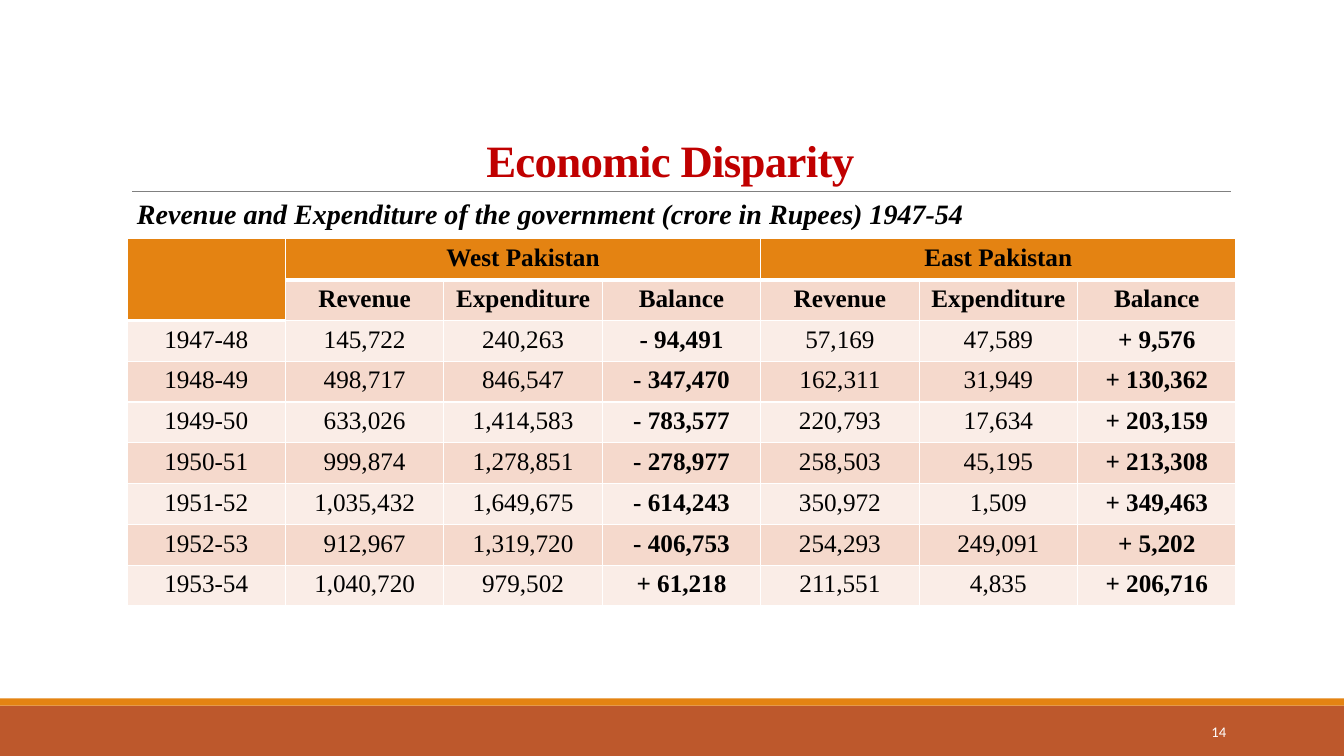
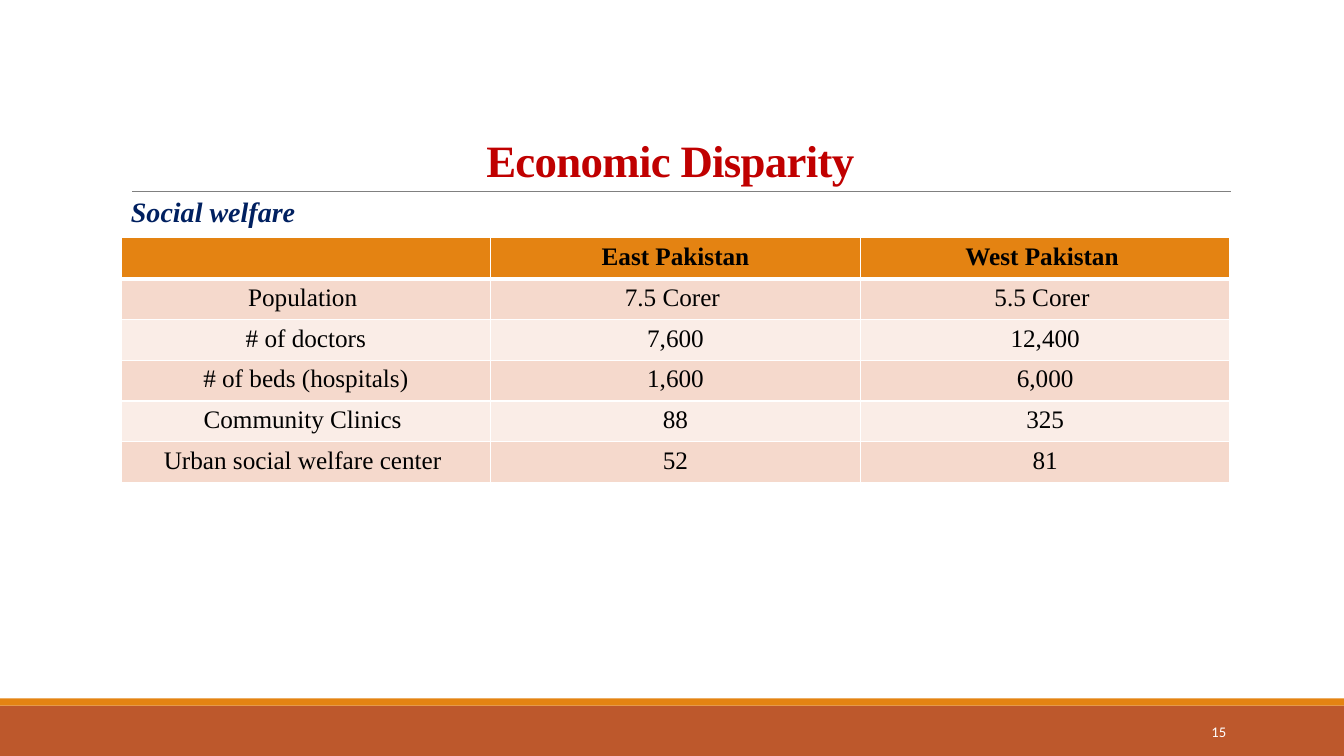
"""Build two slides of tables on economic disparity."""
import lxml.etree
import pptx
import pptx.dml.color
import pptx.enum.shapes
import pptx.enum.text
import pptx.oxml.ns
import pptx.util

Inches = pptx.util.Inches
Pt = pptx.util.Pt
ALIGN = pptx.enum.text.PP_ALIGN
ANCHOR = pptx.enum.text.MSO_ANCHOR
qn = pptx.oxml.ns.qn

COLORS = {
    "band": "BD582C", "accent": "E48312", "rule": "808080", "title": "C00000",
    "navy": "002060", "black": "000000", "white": "FFFFFF",
    "odd": "F5D9CC", "even": "FAEDE7",
}
SERIF = "Times New Roman"
SANS = "Calibri"
WIDTH, HEIGHT = 13.33, 7.5
ROW_HEIGHT = 0.405
TABLE_WIDTH = 11

MEASURES = ["Revenue", "Expenditure", "Balance"]
REVENUE_ROWS = [
    ["", "West Pakistan", "", "", "East Pakistan", "", ""],
    [""] + MEASURES * 2,
    ["1947-48", "145,722", "240,263", "- 94,491", "57,169", "47,589", "+ 9,576"],
    ["1948-49", "498,717", "846,547", "- 347,470", "162,311", "31,949", "+ 130,362"],
    ["1949-50", "633,026", "1,414,583", "- 783,577", "220,793", "17,634", "+ 203,159"],
    ["1950-51", "999,874", "1,278,851", "- 278,977", "258,503", "45,195", "+ 213,308"],
    ["1951-52", "1,035,432", "1,649,675", "- 614,243", "350,972", "1,509", "+ 349,463"],
    ["1952-53", "912,967", "1,319,720", "- 406,753", "254,293", "249,091", "+ 5,202"],
    ["1953-54", "1,040,720", "979,502", "+ 61,218", "211,551", "4,835", "+ 206,716"],
]
REVENUE_MERGES = [(0, 0, 1, 0), (0, 1, 0, 3), (0, 4, 0, 6)]
WELFARE_ROWS = [
    ["", "East Pakistan", "West Pakistan "],
    ["Population ", "7.5 Corer ", "5.5 Corer "],
    ["# of doctors", "7,600", "12,400"],
    ["# of beds (hospitals)", "1,600", "6,000"],
    ["Community Clinics ", "88", "325"],
    ["Urban social welfare center ", "52", "81"],
]


def rgb(name):
    return pptx.dml.color.RGBColor.from_string(COLORS[name])


class Deck:
    def __init__(self):
        self.prs = pptx.Presentation()
        self.prs.slide_width = Inches(WIDTH)
        self.prs.slide_height = Inches(HEIGHT)
        self.s = None

    def slide(self, title, number):
        self.s = self.prs.slides.add_slide(self.prs.slide_layouts[6])
        self.band(7, 0.5, "band")
        self.band(6.93, 0.07, "accent")
        self.rule(1.31, 12.21, 1.9)
        r = self.text(title, (1.2, 1, 11, 0.9), 32, "title", bold=True,
                      align=ALIGN.CENTER, anchor=ANCHOR.BOTTOM, spacing=0.85)
        r.font._element.set("spc", "-50")
        self.text(str(number), (10.83, 7.06, 1.43, 0.4), 10.5, "white", font=SANS,
                  align=ALIGN.RIGHT, anchor=ANCHOR.MIDDLE)

    def band(self, top, height, color):
        sp = self.s.shapes.add_shape(
            pptx.enum.shapes.MSO_SHAPE.RECTANGLE,
            0, Inches(top), Inches(WIDTH), Inches(height))
        sp.shadow.inherit = False
        sp.fill.solid()
        sp.fill.fore_color.rgb = rgb(color)
        sp.line.fill.background()

    def rule(self, left, right, y):
        line = self.s.shapes.add_connector(
            pptx.enum.shapes.MSO_CONNECTOR.STRAIGHT,
            Inches(left), Inches(y), Inches(right), Inches(y))
        line.line.color.rgb = rgb("rule")
        line.line.width = Pt(0.5)
        lxml.etree.SubElement(line._element.spPr, qn("a:effectLst"))

    def run(self, p, text, size, color, font=SERIF, bold=False, italic=False):
        r = p.add_run()
        r.text = text
        r.font.size = Pt(size)
        r.font.name = font
        r.font.bold = bold
        r.font.italic = italic
        r.font.color.rgb = rgb(color)
        return r

    def text(self, text, box, size, color, align=ALIGN.LEFT, anchor=ANCHOR.TOP,
             spacing=None, **style):
        sp = self.s.shapes.add_textbox(*map(Inches, box))
        tf = sp.text_frame
        tf.word_wrap = True
        tf.vertical_anchor = anchor
        p = tf.paragraphs[0]
        p.alignment = align
        p.line_spacing = spacing
        return self.run(p, text, size, color, **style)

    def subtitle(self, text, left, top, color):
        self.text(text, (left, top, 8.75, 0.44), 20, color, bold=True, italic=True)

    def borders(self, cell, row):
        tc_pr = cell._tc.get_or_add_tcPr()
        widths = {"L": 1, "R": 1, "T": 3 if row == 1 else 1, "B": 3 if row == 0 else 1}
        for side, width in widths.items():
            ln = lxml.etree.SubElement(tc_pr, qn("a:ln" + side), w=str(Pt(width)))
            fill = lxml.etree.SubElement(ln, qn("a:solidFill"))
            lxml.etree.SubElement(fill, qn("a:srgbClr"), val=COLORS["white"])

    def table(self, rows, left, top, merges=(), bold_rows=1, bold_cols=()):
        count = len(rows[0])
        table = self.s.shapes.add_table(
            len(rows), count, Inches(left), Inches(top),
            Inches(TABLE_WIDTH), Inches(ROW_HEIGHT * len(rows))).table
        for column in table.columns:
            column.width = Inches(TABLE_WIDTH / count)
        for i, values in enumerate(rows):
            table.rows[i].height = Inches(ROW_HEIGHT)
            for j, value in enumerate(values):
                cell = table.cell(i, j)
                self.borders(cell, i)
                cell.fill.solid()
                color = "accent" if i == 0 else "odd" if i % 2 else "even"
                cell.fill.fore_color.rgb = rgb(color)
                if value:
                    p = cell.text_frame.paragraphs[0]
                    p.alignment = ALIGN.CENTER
                    self.run(p, value, 18, "black",
                             bold=i < bold_rows or j in bold_cols)
        for first_row, first_col, last_row, last_col in merges:
            table.cell(first_row, first_col).merge(table.cell(last_row, last_col))


def main():
    deck = Deck()
    title = "Economic Disparity "

    deck.slide(title, 14)
    deck.table(REVENUE_ROWS, 1.26, 2.37, REVENUE_MERGES, bold_rows=2, bold_cols=(3, 6))
    deck.subtitle("Revenue and Expenditure of the government (crore in Rupees) 1947-54",
                  1.26, 1.9, "black")

    deck.slide(title, 15)
    deck.table(WELFARE_ROWS, 1.2, 2.36)
    deck.subtitle("Social welfare", 1.2, 1.88, "navy")

    deck.prs.save("out.pptx")


if __name__ == "__main__":
    main()
